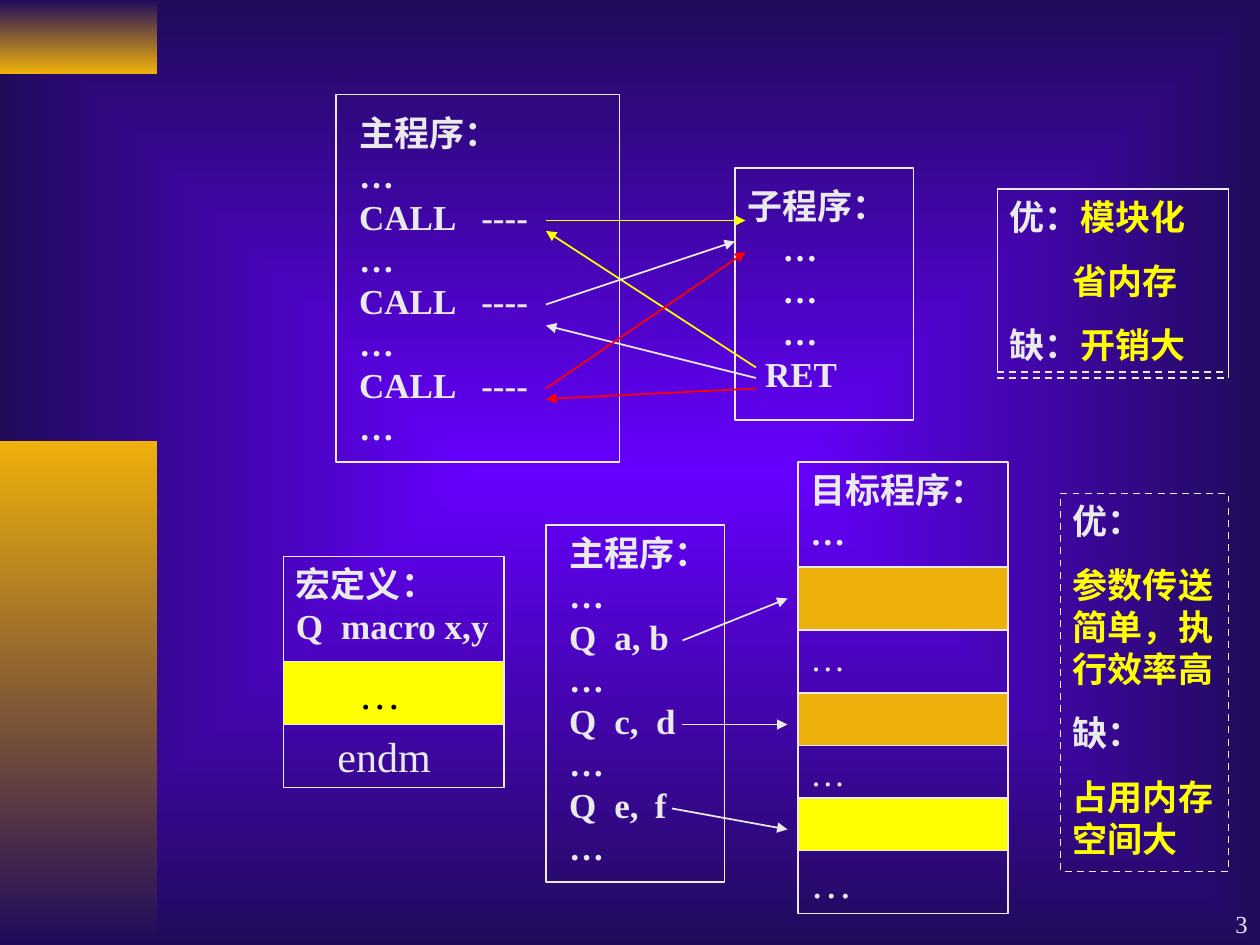
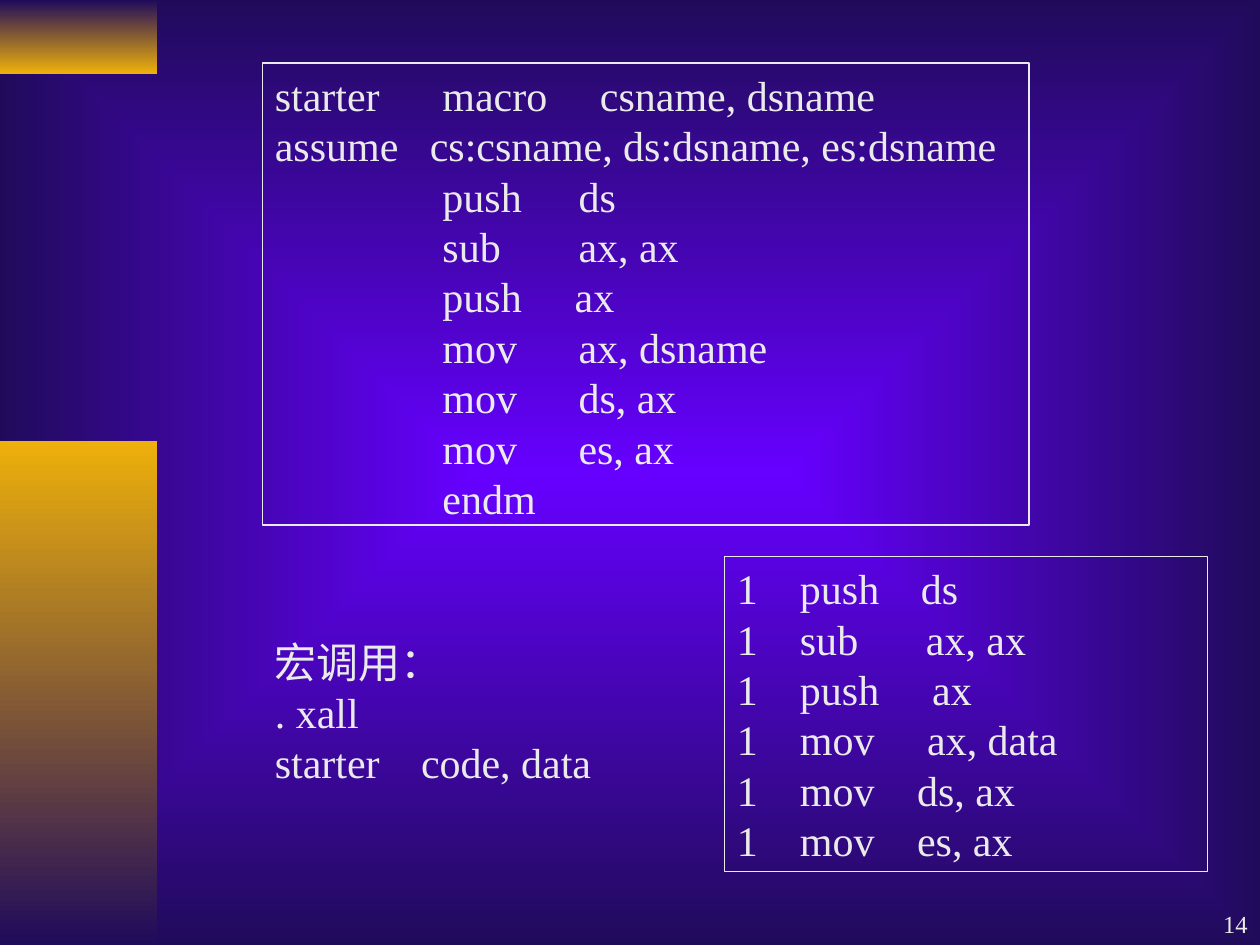
from dataclasses import dataclass

from lxml import etree
from pptx import Presentation, util as u
from pptx.dml.color import RGBColor
from pptx.enum import dml, shapes, text
from pptx.oxml.ns import qn

COLORS = {
    "paper": "EAEAEA",
    "glow": "6600FF",
    "night": "200B5B",
    "gold": "EEB00B",
    "yellow": "FFFF00",
    "red": "FF0000",
    "black": "000000",
}
FONT = "Times New Roman"
COLUMNS, ROWS = 120, 90
SLIDE_WIDTH, SLIDE_HEIGHT = u.Inches(10), u.Inches(7.5)
PAD_X, PAD_Y = u.Inches(0.1), u.Inches(0.05)
LINE_PITCH = 1.2


@dataclass(frozen=True)
class Line:
    plain: str = ""
    accent: str = ""
    tabs: tuple[float, ...] = ()
    indent: float = 0
    before: float = 0


@dataclass(frozen=True)
class Panel:
    left: float
    top: float
    width: float
    height: float
    lines: tuple[Line, ...] = ()
    size: float = 20
    bold: bool = False
    color: str = "paper"
    fill: str | None = None
    border: str | None = "paper"
    dashed: bool = False
    shift: tuple[float, float] = (0, 0)


@dataclass(frozen=True)
class Jump:
    start: tuple[float, float]
    end: tuple[float, float]
    color: str = "paper"


def x(columns: float) -> int:
    return round(SLIDE_WIDTH * columns / COLUMNS)


def y(rows: float) -> int:
    return round(SLIDE_HEIGHT * rows / ROWS)


def rgb(name: str) -> RGBColor:
    return RGBColor.from_string(COLORS[name])


def gradient(fill, first: str, last: str) -> None:
    fill.gradient()
    for stop, name in zip(fill.gradient_stops, (first, last)):
        stop.color.rgb = rgb(name)


def write(frame, lines, *, size: float, bold: bool = False, color: str = "paper",
          align=text.PP_ALIGN.LEFT, anchor=text.MSO_ANCHOR.TOP,
          shift=(0, 0), pitch: float | None = LINE_PITCH) -> None:
    frame.word_wrap = True
    frame.vertical_anchor = anchor
    frame.margin_left, frame.margin_right = PAD_X + x(shift[0]), PAD_X
    frame.margin_top, frame.margin_bottom = PAD_Y + y(shift[1]), PAD_Y
    for index, line in enumerate(lines):
        paragraph = frame.add_paragraph() if index else frame.paragraphs[0]
        properties = paragraph._p.get_or_add_pPr()
        if line.indent:
            properties.set("marL", str(u.Inches(line.indent)))
            properties.set("indent", "0")
        if line.tabs:
            stops = etree.SubElement(properties, qn("a:tabLst"))
            for position in line.tabs:
                etree.SubElement(stops, qn("a:tab"), pos=str(u.Inches(position)), algn="l")
        paragraph.alignment = align
        if pitch:
            paragraph.line_spacing = u.Pt(size * pitch)
        if index and line.before:
            paragraph.space_before = u.Pt(line.before)
        for words, ink in ((line.plain, color), (line.accent, "yellow")):
            if words:
                run = paragraph.add_run()
                run.text = words
                run.font.name, run.font.size, run.font.bold = FONT, u.Pt(size), bold
                run.font.color.rgb = rgb(ink)


def add_rectangle(slide, left: float, top: float, width: float, height: float):
    rectangle = slide.shapes.add_shape(
        shapes.MSO_SHAPE.RECTANGLE, x(left), y(top), x(width), y(height))
    rectangle.shadow.inherit = False
    return rectangle


def draw_panel(slide, panel: Panel) -> None:
    box = add_rectangle(slide, panel.left, panel.top, panel.width, panel.height)
    if panel.fill:
        box.fill.solid()
        box.fill.fore_color.rgb = rgb(panel.fill)
    else:
        box.fill.background()
    if panel.border:
        box.line.color.rgb = rgb(panel.border)
        box.line.width = u.Pt(1)
        if panel.dashed:
            box.line.dash_style = dml.MSO_LINE.DASH
    else:
        box.line.fill.background()
    if panel.lines:
        write(box.text_frame, panel.lines, size=panel.size, bold=panel.bold,
              color=panel.color, shift=panel.shift)


def draw_jump(slide, jump: Jump) -> None:
    (x1, y1), (x2, y2) = jump.start, jump.end
    arrow = slide.shapes.add_connector(
        shapes.MSO_CONNECTOR.STRAIGHT, x(x1), y(y1), x(x2), y(y2))
    arrow.line.color.rgb = rgb(jump.color)
    arrow.line.width = u.Pt(1)
    etree.SubElement(arrow.line._get_or_add_ln(), qn("a:tailEnd"), type="triangle")
    etree.SubElement(arrow._element.spPr, qn("a:effectLst"))


def new_slide(prs, number: int):
    slide = prs.slides.add_slide(prs.slide_layouts[6])
    gradient(slide.background.fill, "glow", "night")
    linear = next(slide.element.iter(qn("a:lin")))
    glow = etree.Element(qn("a:path"), path="rect")
    etree.SubElement(glow, qn("a:fillToRect"), l="50000", t="50000", r="50000", b="50000")
    linear.getparent().replace(linear, glow)
    for top, height, first, last in ((0, 7, "night", "gold"), (42, 48, "gold", "night")):
        band = add_rectangle(slide, 0, top, 15, height)
        gradient(band.fill, first, last)
        band.fill.gradient_angle = 270
        band.line.fill.background()
    page = slide.shapes.add_textbox(x(95), y(84), x(25), y(6))
    write(page.text_frame, [Line(str(number))], size=14, pitch=None,
          align=text.PP_ALIGN.RIGHT, anchor=text.MSO_ANCHOR.BOTTOM)
    return slide


DOTS = Line("…")
CALL = Line("CALL\t----", tabs=(0.97,))

SUBROUTINE = (
    Panel(32, 9, 27, 35, (Line("主程序："), DOTS) + (CALL, DOTS) * 3, bold=True, shift=(1, 1)),
    Panel(70, 16, 17, 24,
          (Line("子程序："),) + (Line("…", indent=0.28),) * 3 + (Line("RET", indent=0.14),),
          bold=True, shift=(0, 1)),
    Panel(95, 18, 22, 17.4,
          (Line("优：", "模块化"), Line(accent="省内存", indent=0.5, before=12.5),
           Line("缺：", "开销大", before=12.5)), bold=True, dashed=True),
    Panel(95, 18, 22, 18, dashed=True),
)
MACRO = (
    Panel(27, 53, 21, 10, (Line("宏定义："), Line("Q\tmacro x,y", tabs=(0.36,))), bold=True),
    Panel(27, 63, 21, 6, (Line("…", indent=0.5),), size=24, color="black", fill="yellow"),
    Panel(27, 69, 21, 6, (Line("endm", indent=0.33),), size=24),
    Panel(52, 50, 17, 34,
          (Line("主程序："), DOTS, Line("Q\ta, b", tabs=(0.36,)), DOTS,
           Line("Q\tc,\td", tabs=(0.36, 0.69)), DOTS,
           Line("Q\te,\tf", tabs=(0.36, 0.68)), DOTS), bold=True, shift=(1, 0)),
    Panel(101, 47, 16, 36,
          (Line("优："), Line(accent="参数传送简单，执行效率高", before=12.5),
           Line("缺：", before=12.5), Line(accent="占用内存空间大", before=12.5)),
          bold=True, dashed=True),
)
OBJECT_CODE = (
    (10, dict(lines=(Line("目标程序："), DOTS), bold=True)),
    (6, dict(fill="gold")),
    (6, dict(lines=(DOTS,))),
    (5, dict(fill="gold")),
    (5, dict(lines=(DOTS,))),
    (5, dict(fill="yellow")),
    (6, dict(lines=(DOTS,), size=24)),
)
JUMPS = (
    Jump((65, 61), (75, 57)),
    Jump((65, 69), (75, 69)),
    Jump((64, 77), (75, 79)),
    Jump((52, 21), (71, 21), "yellow"),
    Jump((72, 35), (52, 22), "yellow"),
    Jump((52, 29), (70, 23)),
    Jump((72, 36), (52, 31)),
    Jump((52, 37), (71, 24), "red"),
    Jump((72, 37), (52, 38), "red"),
)

OPERATIONS = (("push", "ds"), ("sub", "ax, ax"), ("push", "ax"),
              ("mov", "ax, dsname"), ("mov", "ds, ax"), ("mov", "es, ax"))
OPERAND_STOPS = (2.41, 2.41, 2.38, 2.41, 2.41, 2.41)
EXPANDED_STOPS = (1.46, 1.5, 1.55, 1.51, 1.43, 1.43)
DEFINITION = (
    Line("starter\tmacro\tcsname, dsname", tabs=(1.33, 2.58)),
    Line("assume\tcs:csname, ds:dsname, es:dsname", tabs=(1.23,)),
    *(Line(f"\t{name}\t{operand}", tabs=(1.33, stop))
      for (name, operand), stop in zip(OPERATIONS, OPERAND_STOPS)),
    Line("\tendm", tabs=(1.33,)),
)
EXPANSION = tuple(
    Line(f"1\t{name}\t{operand.replace('dsname', 'data')}", tabs=(0.5, stop))
    for (name, operand), stop in zip(OPERATIONS, EXPANDED_STOPS))
INVOCATION = (Line("宏调用："), Line(". xall"), Line("starter\tcode, data", tabs=(1.16,)))
LISTINGS = (
    Panel(25, 6, 73, 44, DEFINITION, size=24),
    Panel(25, 60, 37, 15.6, INVOCATION, size=24, border=None),
    Panel(69, 53, 46, 30, EXPANSION, size=24),
)


def build_comparison(prs) -> None:
    slide = new_slide(prs, 3)
    for panel in SUBROUTINE + MACRO:
        draw_panel(slide, panel)
    top = 44
    for height, style in OBJECT_CODE:
        draw_panel(slide, Panel(76, top, 20, height, **style))
        top += height
    for jump in JUMPS:
        draw_jump(slide, jump)


def build_macro_example(prs) -> None:
    slide = new_slide(prs, 14)
    for panel in LISTINGS:
        draw_panel(slide, panel)


def main() -> None:
    prs = Presentation()
    prs.slide_width, prs.slide_height = SLIDE_WIDTH, SLIDE_HEIGHT
    build_comparison(prs)
    build_macro_example(prs)
    prs.save("out.pptx")


if __name__ == "__main__":
    main()
